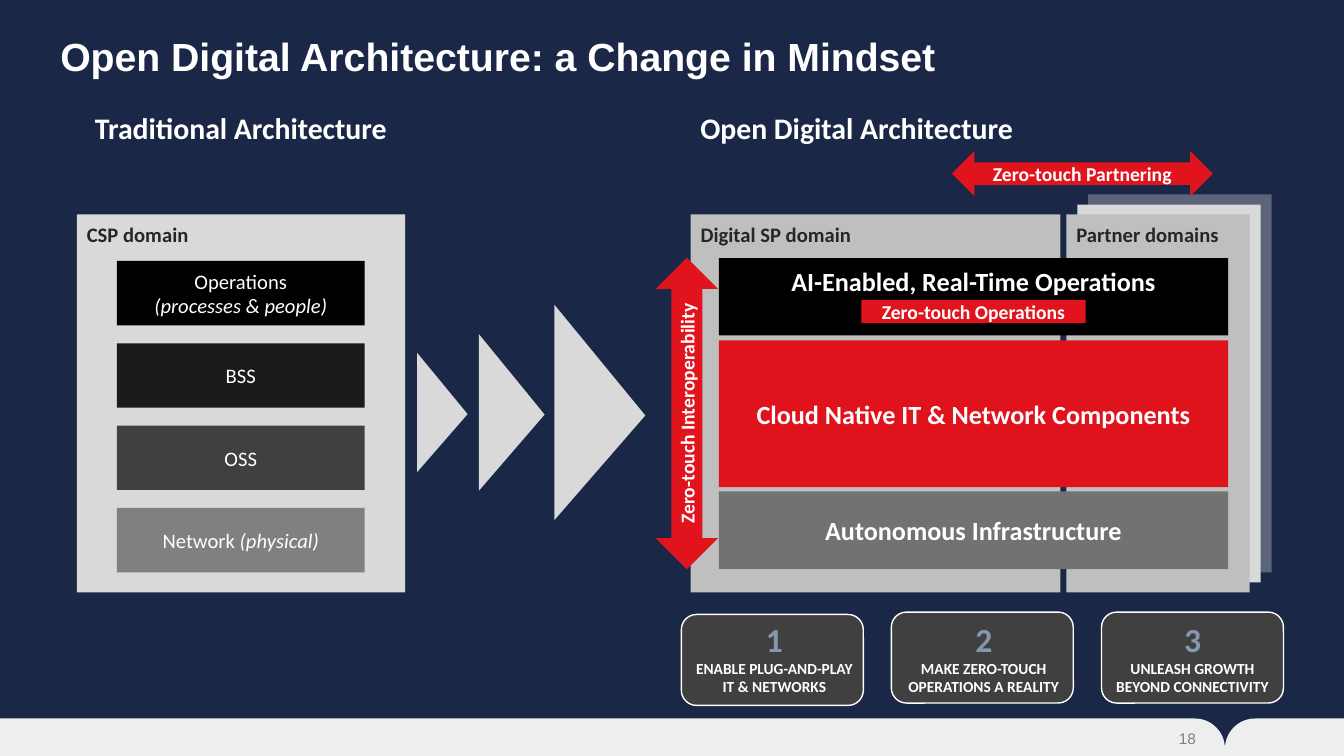
import math

from lxml import etree
from pptx import Presentation
from pptx.dml import color
from pptx.enum import shapes, text
from pptx.oxml import ns
from pptx.util import Pt

KIND = shapes.MSO_SHAPE
ALIGN = text.PP_ALIGN
ANCHOR = text.MSO_ANCHOR
NAVY, WHITE, BLACK, RED = "1A2746", "FFFFFF", "000000", "E1141E"
LIGHT, SILVER, CHARCOAL, INK = "D9D9D9", "BFBFBF", "404040", "262626"
FOOTER = "EDEEF0"


def paint(fill, hex_color):
    fill.solid()
    fill.fore_color.rgb = color.RGBColor.from_string(hex_color)


def set_alpha(sp, percent):
    clr = sp._element.spPr.find(".//" + ns.qn("a:srgbClr"))
    etree.SubElement(clr, ns.qn("a:alpha")).set("val", str(percent * 1000))


def style_runs(p, size, hex_color, bold, font):
    for r in p.runs:
        r.font.size = Pt(size)
        r.font.name = font
        r.font.bold = bold
        paint(r.font.fill, hex_color)


def set_frame(sp, anchor=ANCHOR.MIDDLE, insets=(7.2, 3.6, 7.2, 3.6)):
    tf = sp.text_frame
    tf.word_wrap = True
    tf.vertical_anchor = anchor
    tf.margin_left, tf.margin_top, tf.margin_right, tf.margin_bottom = map(Pt, insets)
    return tf


def write(p, words, size, hex_color=WHITE, bold=True, align=ALIGN.CENTER,
          italic="", font="Calibri"):
    p.text = words
    if italic:
        r = p.add_run()
        r.text = italic
        r.font.italic = True
    p.alignment = align
    style_runs(p, size, hex_color, bold, font)


def add_shape(s, kind, x, y, w, h, fill, line=None):
    sp = s.shapes.add_shape(kind, Pt(x), Pt(y), Pt(w), Pt(h))
    sp.shadow.inherit = False
    paint(sp.fill, fill)
    if line:
        paint(sp.line.fill, line)
        sp.line.width = Pt(1)
    else:
        sp.line.fill.background()
    return sp


def add_label(s, x, y, w, h, words, size, **style):
    sp = s.shapes.add_textbox(Pt(x), Pt(y), Pt(w), Pt(h))
    tf = set_frame(sp, ANCHOR.TOP)
    write(tf.paragraphs[0], words, size, **style)
    return tf


def add_bar(s, x, y, w, h, fill, words, size, bold=True, italic=""):
    sp = add_shape(s, KIND.RECTANGLE, x, y, w, h, fill)
    tf = set_frame(sp)
    write(tf.paragraphs[0], words, size, bold=bold, italic=italic)
    return tf


def add_domain(s, x, w, fill, words):
    sp = add_shape(s, KIND.RECTANGLE, x, 153.2, w, 270, fill)
    tf = set_frame(sp, ANCHOR.TOP, (7.2, 5.5, 0.7, 11.5))
    write(tf.paragraphs[0], words, 14.7, INK, align=ALIGN.LEFT)


def add_arrow(s, x, y, w, h, words, rotation=0):
    sp = add_shape(s, KIND.LEFT_RIGHT_ARROW, x, y, w, h, RED)
    sp.rotation = rotation
    write(set_frame(sp).paragraphs[0], words, 14)


def add_chevron(s, center, base, length):
    sp = add_shape(s, KIND.ISOSCELES_TRIANGLE, center - base / 2,
                   294.6 - length / 2, base, length, LIGHT)
    sp.adjustments[0] = 0.514
    sp.rotation = 90


def add_card(s, x, y, label_x, label_w, number, words):
    add_shape(s, KIND.ROUNDED_RECTANGLE, x, y, 130, 65, CHARCOAL, WHITE)
    tf = add_label(s, label_x, 438.2, label_w, 54, number, 24, hex_color="8696AB")
    write(tf.add_paragraph(), words, 11)


def add_footer(s):
    split, top, bottom, radius = 875, 513.2, 540, 21.5
    for edge, side in ((0, -1), (960, 1)):
        turn = [math.pi / 2 * i / 16 for i in range(17)]
        corner = [(split + side * radius * (1 - math.sin(a)),
                   top + radius * (1 - math.cos(a))) for a in reversed(turn)]
        corner.reverse()
        points = [(Pt(x), Pt(y)) for x, y in corner[::-1] + [(edge, top)]]
        outline = s.shapes.build_freeform(Pt(edge), Pt(bottom))
        outline.add_line_segments([(Pt(split), Pt(bottom))] + points[::1], close=True)
        sp = outline.convert_to_shape()
        sp.shadow.inherit = False
        paint(sp.fill, FOOTER)
        sp.line.fill.background()
    add_label(s, 821.5, 517, 53.3, 21, "18", 11, hex_color="808080",
              bold=False, font="Arial")


def add_traditional(s):
    add_label(s, 54.7, 74.9, 234.7, 33, "Traditional Architecture", 21.3)
    add_domain(s, 54.9, 234.5, LIGHT, "CSP domain")
    layers = [(BLACK, "Operations\v", "(processes & people)"),
              ("1A1A1A", "BSS", ""),
              (CHARCOAL, "OSS", ""),
              ("808080", "Network ", "(physical)")]
    for i, (fill, words, italic) in enumerate(layers):
        add_bar(s, 83.5, 186.4 + 58.8 * i, 177, 46, fill, words, 14.7, False, italic)


def add_open_digital(s):
    add_label(s, 493.2, 74.9, 268.6, 33, "Open Digital Architecture", 21.3,
              align=ALIGN.LEFT)
    back = add_shape(s, KIND.RECTANGLE, 777.3, 138.8, 131, 270, "F2F2F2")
    set_alpha(back, 30)
    add_shape(s, KIND.RECTANGLE, 769.5, 146.1, 131, 270, LIGHT)
    add_domain(s, 493.3, 264.2, SILVER, "Digital SP domain")
    add_domain(s, 761.7, 131, SILVER, "Partner domains")
    layers = [(184.3, 55.3, BLACK, "AI-Enabled, Real-Time Operations"),
              (243.2, 104.7, "E0131C", "Cloud Native IT & Network Components"),
              (350.9, 55.6, "727272", "Autonomous Infrastructure")]
    frames = [add_bar(s, 513.5, y, 363.7, h, fill, words, 18.7)
              for y, h, fill, words in layers]
    frames[0].vertical_anchor = ANCHOR.TOP
    frames[0].margin_top = Pt(5)
    add_arrow(s, 680, 107.9, 186.3, 32.2, "Zero-touch Partnering")
    add_arrow(s, 379.4, 273.2, 222.5, 44.4, "Zero-touch Interoperability", 270)
    add_bar(s, 615.3, 214.2, 160.2, 16.6, RED, "Zero-touch Operations", 14)


def main():
    prs = Presentation()
    prs.slide_width, prs.slide_height = Pt(960), Pt(540)
    s = prs.slides.add_slide(prs.slide_layouts[6])
    paint(s.background.fill, NAVY)
    add_footer(s)
    title = add_label(s, 36, 23.5, 908.6, 43.2,
                      "Open Digital Architecture: a Change in Mindset", 28,
                      align=ALIGN.LEFT, font="Arial")
    title.paragraphs[0].line_spacing = 0.9
    add_traditional(s)
    add_open_digital(s)
    for center, base, length in ((316, 85, 36), (365.5, 112, 47), (428.4, 154, 65)):
        add_chevron(s, center, base, length)
    cards = [(486.7, 438.9, 481.2, 144, "1", "ENABLE PLUG-AND-PLAY\vIT & NETWORKS"),
             (636.7, 437.2, 630.7, 144, "2", "MAKE ZERO-TOUCH OPERATIONS A REALITY"),
             (786.8, 437.2, 782, 139.7, "3", "UNLEASH GROWTH BEYOND CONNECTIVITY")]
    for card in cards:
        add_card(s, *card)
    prs.save("out.pptx")


if __name__ == "__main__":
    main()
